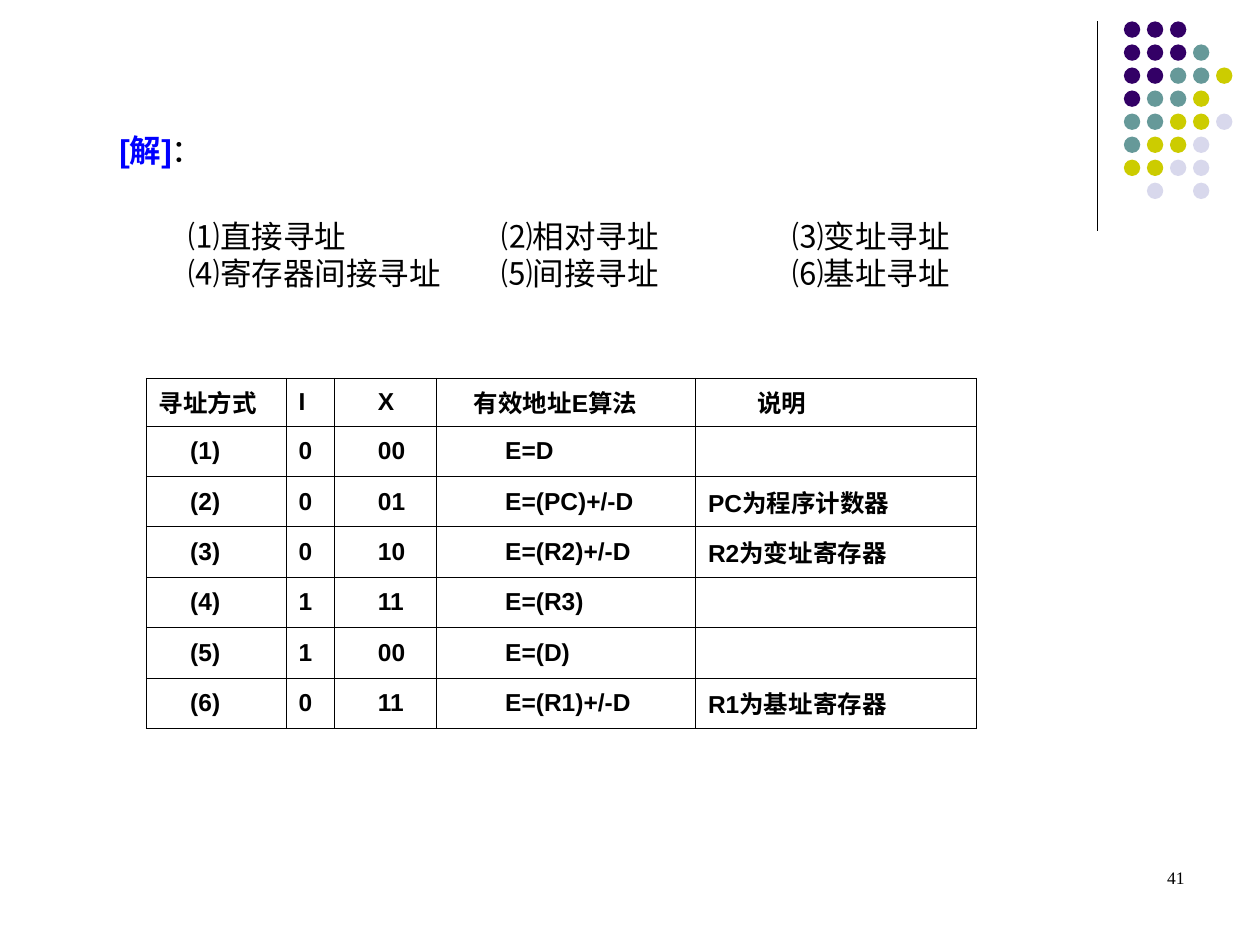
from dataclasses import dataclass
from lxml.etree import SubElement as Sub
from pptx import Presentation
from pptx.dml.color import RGBColor as Rgb
from pptx.enum.shapes import MSO_CONNECTOR as Link, MSO_SHAPE as Shape
from pptx.enum.text import MSO_ANCHOR as Anchor, PP_ALIGN as Align
from pptx.oxml.ns import qn
from pptx.util import Inches, Pt


@dataclass(frozen=True)
class Theme:
    sans: str = "Arial"
    serif: str = "Times New Roman"
    ink: str = "000000"
    paper: str = "FFFFFF"
    blue: str = "0000FF"
    plum: str = "330066"
    teal: str = "669999"
    lime: str = "CCCC00"
    mist: str = "D8D8EC"
    body: int = 18
    grid: int = 14
    note: int = 10
    rule: float = 0.75
    edge: float = 0.34


class Page:
    def __init__(self, slide, theme):
        self.slide = slide
        self.theme = theme

    def style(self, para, size, face=None, bold=False):
        font = para.font
        font.name = face or self.theme.sans
        font.size = Pt(size)
        font.bold = bold
        font.color.rgb = Rgb.from_string(self.theme.ink)

    def rule(self, x, top, end):
        line = self.slide.shapes.add_connector(
            Link.STRAIGHT, Inches(x), Inches(top), Inches(x), Inches(end))
        line.line.color.rgb = Rgb.from_string(self.theme.ink)
        line.line.width = Pt(self.theme.rule)
        Sub(line._element.spPr, qn("a:effectLst"))

    def dots(self, left, top, step, size, rows):
        """Draw one dot per letter of rows; a blank leaves a hole."""
        tints = {"p": self.theme.plum, "t": self.theme.teal,
                 "l": self.theme.lime, "m": self.theme.mist}
        group = self.slide.shapes.add_group_shape()
        for r, row in enumerate(rows):
            for c, key in enumerate(row):
                if key not in tints:
                    continue
                dot = group.shapes.add_shape(
                    Shape.OVAL, Inches(left + c * step), Inches(top + r * step),
                    Inches(size), Inches(size))
                dot.shadow.inherit = False
                dot.fill.solid()
                dot.fill.fore_color.rgb = Rgb.from_string(tints[key])
                dot.line.fill.background()

    def text(self, box, lines, size, face=None, anchor=Anchor.MIDDLE,
             align=Align.LEFT, tabs=()):
        """Add a text box; each line is a list of (words, colour, bold)."""
        frame = self.slide.shapes.add_textbox(*map(Inches, box)).text_frame
        frame.word_wrap = True
        frame.vertical_anchor = anchor
        for i, line in enumerate(lines):
            para = frame.add_paragraph() if i else frame.paragraphs[0]
            para.alignment = align
            if tabs:
                stops = Sub(para._p.get_or_add_pPr(), qn("a:tabLst"))
                for x in tabs:
                    Sub(stops, qn("a:tab"), pos=str(Inches(x)), algn="l")
            self.style(para, size, face)
            for words, tint, bold in line:
                run = para.add_run()
                run.text = words
                if tint:
                    run.font.color.rgb = Rgb.from_string(tint)
                if bold:
                    run.font.bold = True

    def border(self, cell):
        props = cell._tc.get_or_add_tcPr()
        for side in ("lnL", "lnR", "lnT", "lnB"):
            line = Sub(props, qn(f"a:{side}"), w=str(Pt(self.theme.edge)))
            fill = Sub(line, qn("a:solidFill"))
            Sub(fill, qn("a:srgbClr"), val=self.theme.ink)

    def table(self, left, top, cols, highs, rows, head, body):
        """Add a grid; head and body hold the text indent of each column."""
        table = self.slide.shapes.add_table(
            len(rows), len(cols), Inches(left), Inches(top),
            Inches(sum(cols)), Inches(sum(highs))).table
        table.first_row = table.horz_banding = False
        for col, wide in zip(table.columns, cols):
            col.width = Inches(wide)
        for r, row in enumerate(rows):
            table.rows[r].height = Inches(highs[r])
            for c, words in enumerate(row):
                cell = table.cell(r, c)
                cell.vertical_anchor = Anchor.MIDDLE
                self.border(cell)
                cell.fill.solid()
                cell.fill.fore_color.rgb = Rgb.from_string(self.theme.paper)
                cell.text = words
                para = cell.text_frame.paragraphs[0]
                dent = (body if r else head)[c]
                para._p.get_or_add_pPr().set("marL", str(Inches(dent)))
                self.style(para, self.theme.grid, bold=True)


def main():
    deck = Presentation()
    deck.slide_width, deck.slide_height = Inches(10), Inches(7.5)
    theme = Theme()
    page = Page(deck.slides.add_slide(deck.slide_layouts[6]), theme)

    page.rule(8.71, 0.17, 1.83)
    page.dots(8.92, 0.17, 1.28 / 7, 0.13, [
        "ppp", "pppt", "ppttl", "pttl", "ttllm", "tllm", "llmm", " m m"])

    page.text((0.85, 0.99, 1.2, 0.4),
              [[("[解]", theme.blue, True), ("：", None, False)]], theme.body)
    modes = ["\t⑴直接寻址\t⑵相对寻址\t⑶变址寻址",
             "\t⑷寄存器间接寻址\t⑸间接寻址\t⑹基址寻址"]
    page.text((1.15, 1.67, 6.53, 0.7),
              [[(line, None, False)] for line in modes],
              theme.body, tabs=(0.25, 2.73, 5.04))

    rows = [
        ("寻址方式", "I", "X", "有效地址E算法", "说明"),
        ("(1)", "0", "00", "E=D", ""),
        ("(2)", "0", "01", "E=(PC)+/-D", "PC为程序计数器"),
        ("(3)", "0", "10", "E=(R2)+/-D", "R2为变址寄存器"),
        ("(4)", "1", "11", "E=(R3)", ""),
        ("(5)", "1", "00", "E=(D)", ""),
        ("(6)", "0", "11", "E=(R1)+/-D", "R1为基址寄存器"),
    ]
    page.table(1.16, 3, (1.11, 0.38, 0.81, 2.06, 2.23), [0.38] + [0.4] * 6,
               rows, head=(0, 0, 0.25, 0.2, 0.39),
               body=(0.25, 0, 0.25, 0.45, 0))

    page.text((7.17, 6.83, 2.33, 0.5), [[("41", None, False)]], theme.note,
              theme.serif, Anchor.TOP, Align.RIGHT)
    deck.save("out.pptx")


if __name__ == "__main__":
    main()
